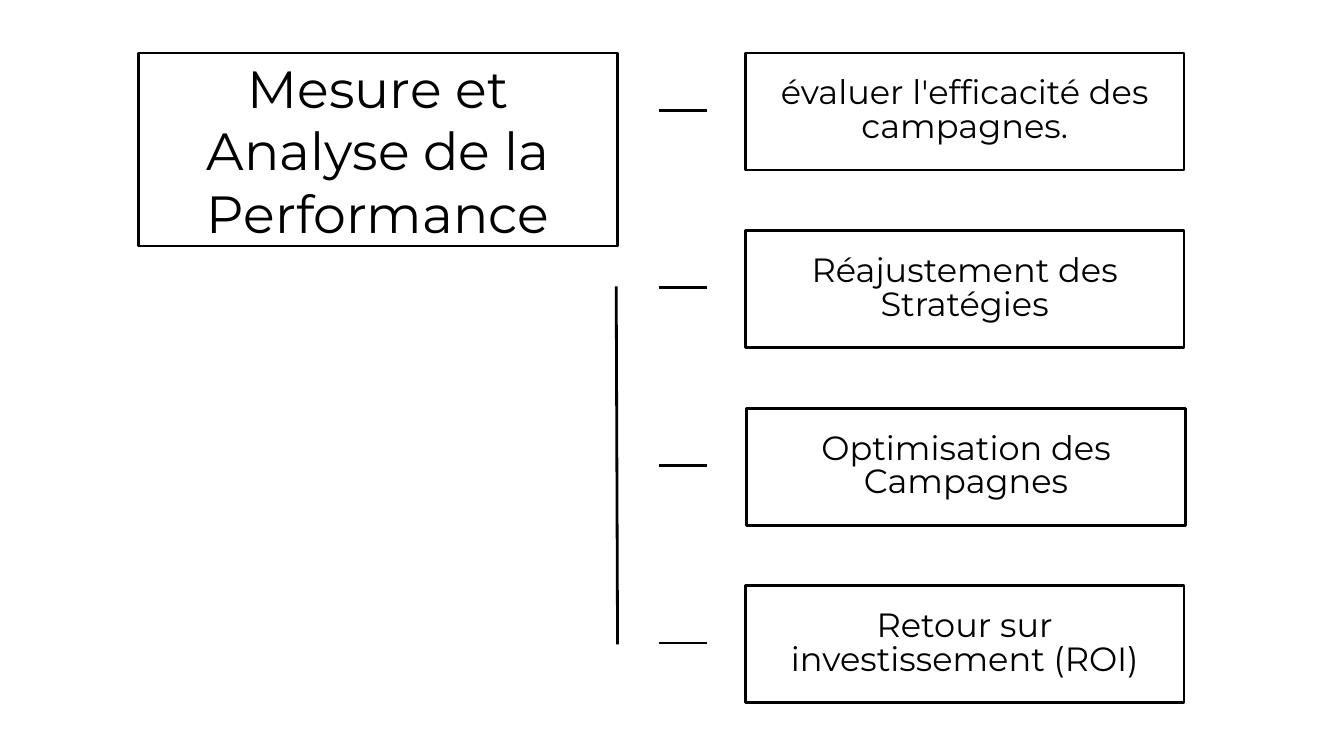
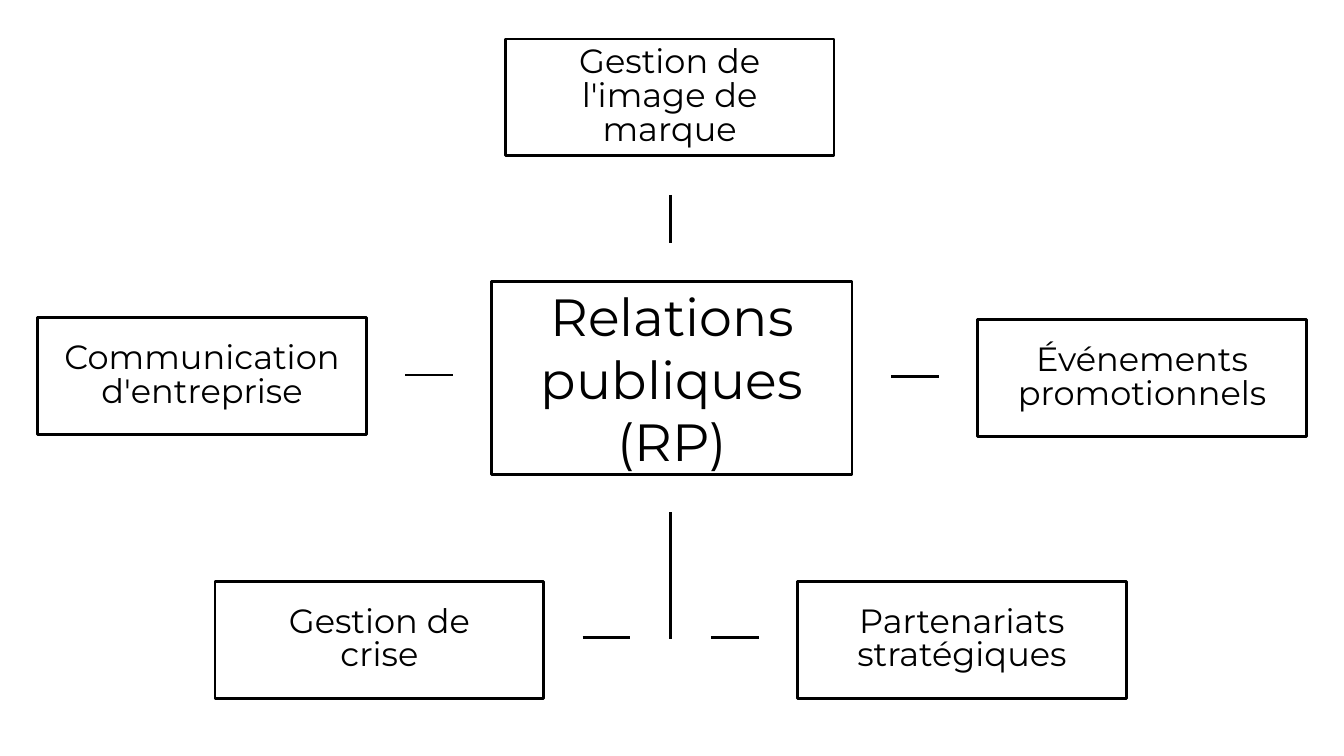
import pptx
import pptx.util
import pptx.dml.color
import pptx.enum.shapes
import pptx.enum.text
import pptx.oxml.ns
import lxml.etree

Inches = pptx.util.Inches
Pt = pptx.util.Pt

COLORS = {"ink": "000000", "paper": "FFFFFF"}
FONT = "Montserrat"
STROKE = 3
DASH = 0.71
TITLE = {"size": 56, "lead": 67.2, "drop": 0.04, "rows": 2.78}
ITEM = {"size": 36, "lead": 36, "drop": 0.37, "rows": 1.05}
TALL = {**ITEM, "drop": 0.12, "rows": 1.55}


def tint(name):
    return pptx.dml.color.RGBColor.from_string(COLORS[name])


def new_slide(deck):
    slide = deck.slides.add_slide(deck.slide_layouts[6])
    fill = slide.background.fill
    fill.solid()
    fill.fore_color.rgb = tint("paper")
    return slide


def add_text(slide, text, *, left, top, width, height, size, lead):
    box = slide.shapes.add_textbox(Inches(left), Inches(top), Inches(width), Inches(height))
    frame = box.text_frame
    frame.word_wrap = True
    frame.auto_size = pptx.enum.text.MSO_AUTO_SIZE.SHAPE_TO_FIT_TEXT
    frame.margin_left = frame.margin_right = frame.margin_top = frame.margin_bottom = 0
    para = frame.paragraphs[0]
    para.alignment = pptx.enum.text.PP_ALIGN.CENTER
    para.line_spacing = Pt(lead)
    run = para.add_run()
    run.text = text
    run.font.name = FONT
    run.font.size = Pt(size)
    run.font.color.rgb = tint("ink")


def add_frame(slide, left, top, width, height):
    shape = slide.shapes.add_shape(
        pptx.enum.shapes.MSO_SHAPE.RECTANGLE,
        Inches(left), Inches(top), Inches(width), Inches(height))
    shape.shadow.inherit = False
    shape.fill.background()
    shape.line.color.rgb = tint("ink")
    shape.line.width = Pt(STROKE)


def add_box(slide, text, left, top, width, height, span, style):
    add_frame(slide, left, top, width, height)
    add_text(slide, text, left=left + (width - span) / 2, top=top + style["drop"],
             width=span, height=style["rows"], size=style["size"], lead=style["lead"])


def add_line(slide, x1, y1, x2, y2):
    line = slide.shapes.add_connector(
        pptx.enum.shapes.MSO_CONNECTOR.STRAIGHT,
        Inches(x1), Inches(y1), Inches(x2), Inches(y2))
    line.line.color.rgb = tint("ink")
    line.line.width = Pt(STROKE)
    lxml.etree.SubElement(line._element.spPr, pptx.oxml.ns.qn("a:effectLst"))


def add_dash(slide, left, y):
    add_line(slide, left, y, left + DASH, y)


def build_tree(deck):
    slide = new_slide(deck)
    add_box(slide, "Mesure et Analyse de la Performance", 2.06, 0.79, 7.13, 2.87, 6.25, TITLE)
    add_line(slide, 9.17, 4.26, 9.19, 9.59)
    items = [
        ("évaluer l'efficacité des campagnes.", 11.09, 5.94),
        ("Réajustement des Stratégies", 11.09, 5.94),
        ("Optimisation des Campagnes", 11.11, 6.05),
        ("Retour sur investissement (ROI)", 11.09, 5.96),
    ]
    pitch = 2.643
    for row, (text, left, span) in enumerate(items):
        add_box(slide, text, left, 0.79 + row * pitch, 6.53, 1.74, span, ITEM)
        add_dash(slide, 9.81, 1.64 + row * pitch)


def build_hub(deck):
    slide = new_slide(deck)
    add_box(slide, "Relations publiques (RP)", 7.32, 4.19, 5.36, 2.87, 4.86, TITLE)
    items = [
        ("Gestion de l'image de marque", 7.52, 0.58, 4.35, TALL),
        ("Communication d'entreprise", 0.56, 4.73, 4.61, ITEM),
        ("Événements promotionnels", 14.55, 4.76, 4.32, ITEM),
        ("Gestion de crise", 3.2, 8.65, 2.85, ITEM),
        ("Partenariats stratégiques", 11.87, 8.65, 4, ITEM),
    ]
    for text, left, top, span, style in items:
        add_box(slide, text, left, top, 4.89, 1.74, span, style)
    for left, y in [(6.03, 5.58), (13.26, 5.6), (8.67, 9.49), (10.58, 9.49)]:
        add_dash(slide, left, y)
    for top, end in [(2.9, 2.9 + DASH), (7.62, 9.51)]:
        add_line(slide, 9.98, top, 9.98, end)


def main():
    deck = pptx.Presentation()
    deck.slide_width = Inches(20)
    deck.slide_height = Inches(11.25)
    build_tree(deck)
    build_hub(deck)
    deck.save("out.pptx")


if __name__ == "__main__":
    main()
